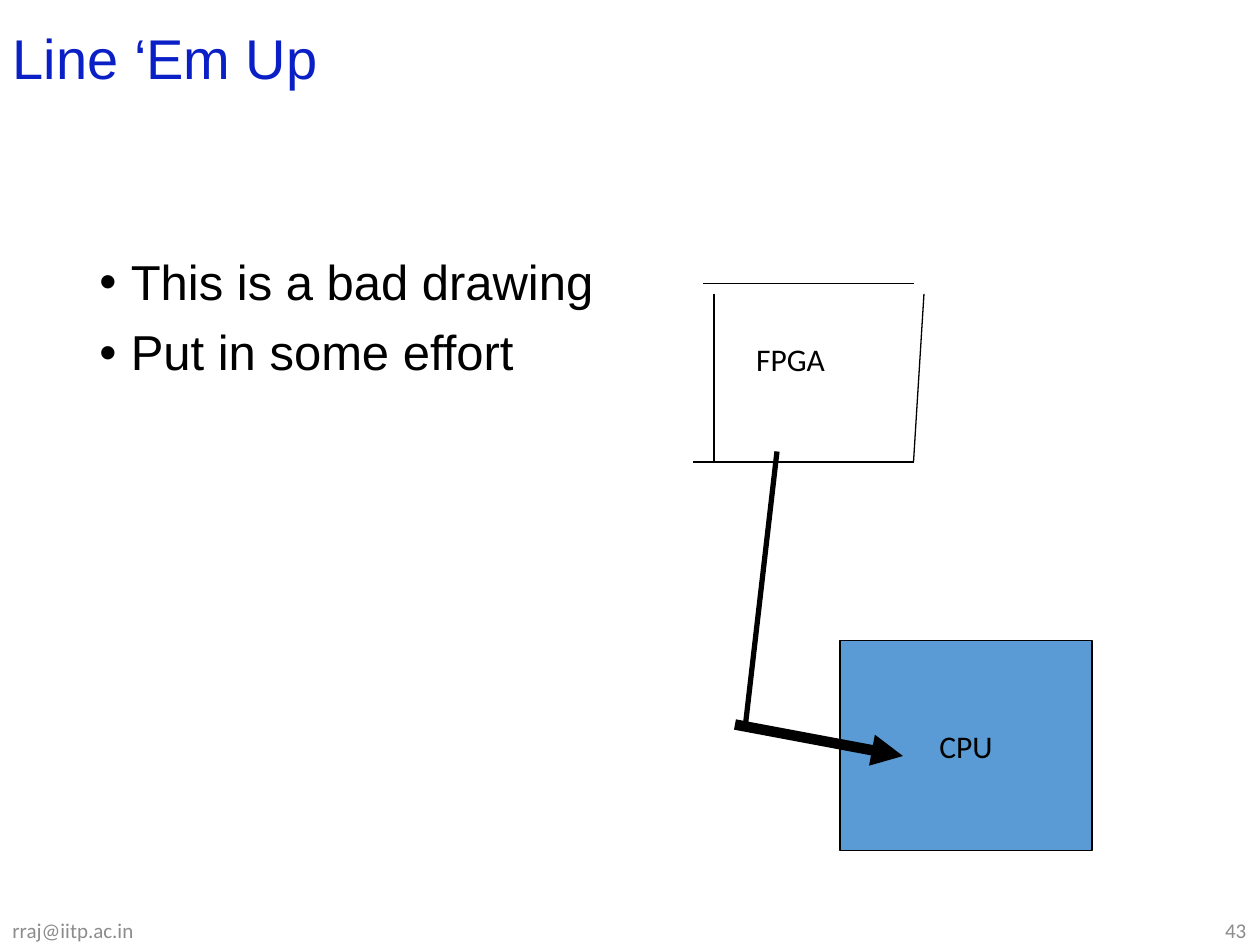
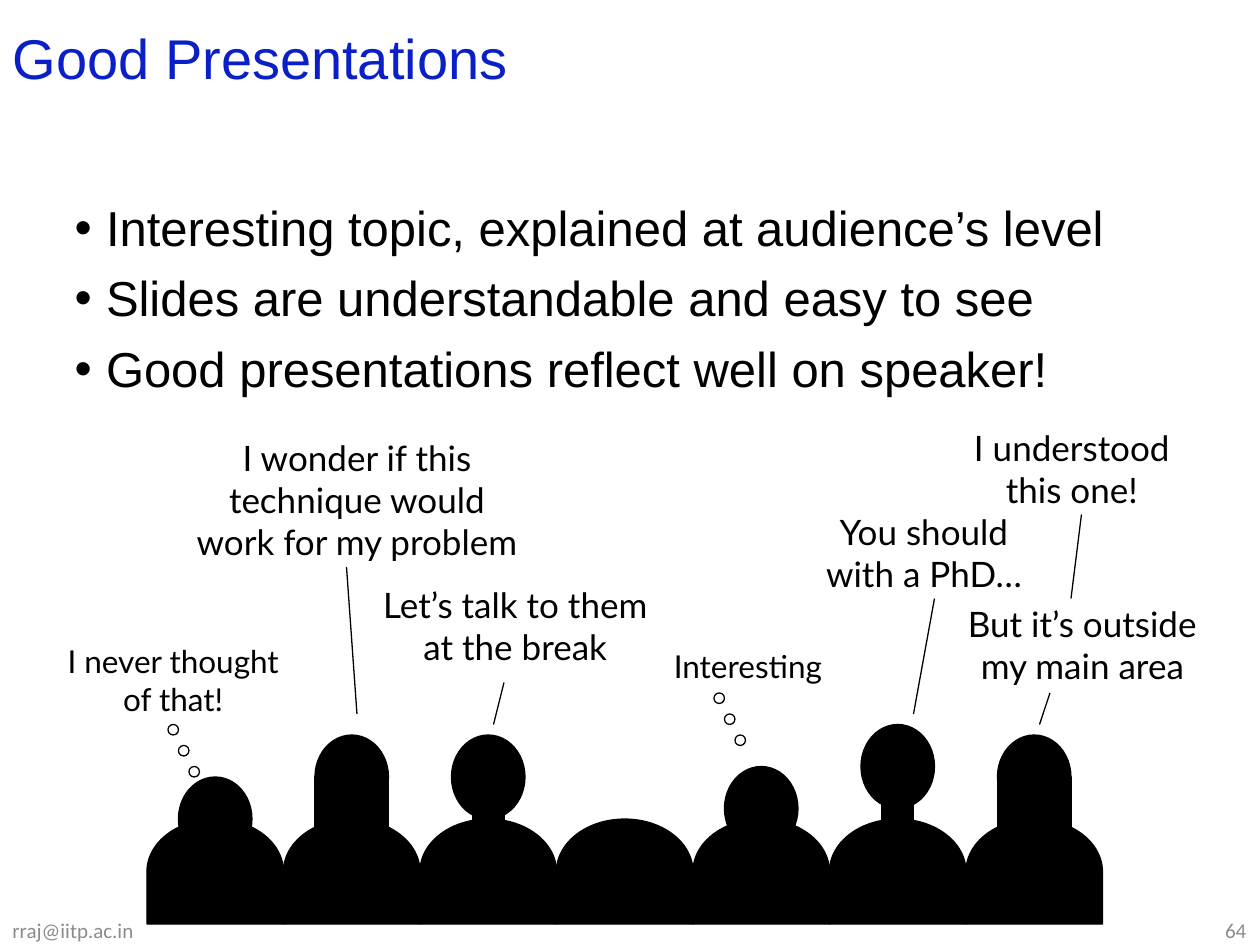
"""Build two slides on talks: a badly drawn diagram and a happy audience."""
from dataclasses import dataclass

from lxml import etree
from pptx import Presentation, slide as sl
from pptx.dml import color
from pptx.enum import shapes, text
from pptx.oxml import ns
from pptx.shapes import autoshape as auto
from pptx.util import Pt

BLACK, BLUE, GREY, FILL = "000000", "0A20C6", "8C8C8C", "5B9BD5"
SHAPE, ALIGN, ANCHOR = shapes.MSO_SHAPE, text.PP_ALIGN, text.MSO_ANCHOR
STEP, MID = 78, 123


@dataclass
class Box:
    """Place and size in points."""
    x: float
    y: float
    w: float
    h: float


@dataclass
class Style:
    """Look of a piece of text."""
    font: str
    size: float
    ink: str = BLACK
    align: ALIGN = ALIGN.LEFT
    anchor: ANCHOR = ANCHOR.TOP


@dataclass
class Stroke:
    """Straight line, with an arrowhead at its end if wanted."""
    x1: float
    y1: float
    x2: float
    y2: float
    width: float = 0.75
    arrow: bool = False


@dataclass
class Person:
    """Listener at a seat, with the width of neck or hair, if any."""
    seat: int
    top: float
    neck: float = 0


@dataclass
class Speech:
    """Words of a listener."""
    words: str
    box: Box
    size: float = 20
    align: ALIGN = ALIGN.CENTER


TITLE = Style("Arial", 32, BLUE, anchor=ANCHOR.MIDDLE)
POINT = Style("Arial", 28)
LABEL = Style("Calibri", 18)
CPU = Style("Calibri", 18, align=ALIGN.CENTER, anchor=ANCHOR.MIDDLE)
MAIL = Style("Calibri", 12, GREY, anchor=ANCHOR.MIDDLE)
PAGE = Style("Calibri", 12, GREY, ALIGN.RIGHT, ANCHOR.MIDDLE)

DIAGRAM = [
    Stroke(408, 168, 408, 264),
    Stroke(402, 162, 522, 162),
    Stroke(528, 168, 522, 264),
    Stroke(522, 264, 396, 264),
]
LINKS = [Stroke(444, 258, 426, 414, 3), Stroke(420, 414, 516, 432, 6, True)]

CROWD = [
    Person(0, 444), Person(1, 420, 42), Person(2, 420, 18),
    Person(4, 438), Person(5, 414, 18), Person(6, 420, 42),
]
TALK = [
    Speech("I never thought of that!", Box(24, 363.6, 150, 50.4), 18),
    Speech("I wonder if this technique would work for my problem",
           Box(102, 246, 204, 79.2)),
    Speech("Let’s talk to them at the break", Box(210, 330, 169, 55.4)),
    Speech("Interesting", Box(378, 366, 102, 28.8), 18, ALIGN.LEFT),
    Speech("You should\vwith a PhD…", Box(456, 288, 144, 55.4)),
    Speech("I understood this one!", Box(534, 240, 157, 55.4)),
    Speech("But it’s outside\vmy main area", Box(540, 340.6, 157, 55.4)),
]
TAILS = [
    Stroke(204, 408, 198, 324), Stroke(282, 414, 288, 390),
    Stroke(522, 408, 534, 342), Stroke(594, 414, 600, 396),
    Stroke(612, 342, 618, 294),
]
THOUGHTS = [(96, 414), (408, 396)]


def hue(code: str) -> color.RGBColor:
    """Turn a hex string into a colour."""
    return color.RGBColor.from_string(code)


def place(item: auto.Shape, box: Box) -> None:
    """Move and size a shape."""
    item.left, item.top = Pt(box.x), Pt(box.y)
    item.width, item.height = Pt(box.w), Pt(box.h)


def bullet(para: text.PP_ALIGN) -> None:
    """Give a paragraph a hanging round bullet."""
    props = para._p.get_or_add_pPr()
    props.set("marL", str(Pt(18)))
    props.set("indent", str(-Pt(18)))
    etree.SubElement(props, ns.qn("a:buFont"), typeface="Arial")
    etree.SubElement(props, ns.qn("a:buChar"), char="•")


def write(item: auto.Shape, words: str, style: Style, wrap: bool = True,
          dots: bool = False, lead: float = 1) -> None:
    """Fill a shape with styled paragraphs, one to a line of words."""
    frame = item.text_frame
    frame.text = words
    frame.word_wrap = wrap
    frame.auto_size = text.MSO_AUTO_SIZE.NONE
    frame.vertical_anchor = style.anchor
    for i, para in enumerate(frame.paragraphs):
        para.alignment = style.align
        para.line_spacing = lead
        para.space_before = Pt(10 if i else 0)
        if dots:
            bullet(para)
        para.font.name, para.font.size = style.font, Pt(style.size)
        para.font.bold = False
        para.font.color.rgb = hue(style.ink)


def note(page: sl.Slide, words: str, box: Box, style: Style, **kind) -> None:
    """Add a text box."""
    item = page.shapes.add_textbox(0, 0, 0, 0)
    place(item, box)
    write(item, words, style, **kind)


def solid(page: sl.Slide, kind: SHAPE, box: Box, fill: str = "") -> auto.Shape:
    """Add a thinly outlined shape, hollow without a fill."""
    item = page.shapes.add_shape(kind, 0, 0, 0, 0)
    place(item, box)
    item.shadow.inherit = False
    if fill:
        item.fill.solid()
        item.fill.fore_color.rgb = hue(fill)
    else:
        item.fill.background()
    item.line.color.rgb, item.line.width = hue(BLACK), Pt(0.75)
    return item


def draw(page: sl.Slide, lines: list[Stroke]) -> None:
    """Add straight black lines."""
    for s in lines:
        item = page.shapes.add_connector(
            shapes.MSO_CONNECTOR.STRAIGHT,
            Pt(s.x1), Pt(s.y1), Pt(s.x2), Pt(s.y2))
        item.line.color.rgb, item.line.width = hue(BLACK), Pt(s.width)
        props = item.element.spPr
        if s.arrow:
            etree.SubElement(props.find(ns.qn("a:ln")), ns.qn("a:tailEnd"),
                             type="triangle")
        etree.SubElement(props, ns.qn("a:effectLst"))


def start(deck: Presentation, title: str, page_no: int, points: str,
          box: Box) -> sl.Slide:
    """Add a slide with footer, title and bullet points."""
    page = deck.slides.add_slide(deck.slide_layouts[5])
    note(page, "rraj@iitp.ac.in", Box(0, 523.5, 243, 16), MAIL)
    note(page, str(page_no), Box(557.3, 524, 162, 15), PAGE)
    place(page.shapes.title, Box(0, 0, 620.6, 70))
    write(page.shapes.title, title, TITLE, lead=0.9)
    note(page, points, box, POINT, dots=True, lead=0.9)
    return page


def lineup(deck: Presentation) -> None:
    """Build the slide with the crooked diagram."""
    page = start(deck, "Line ‘Em Up", 43,
                 "This is a bad drawing\nPut in some effort",
                 Box(49.7, 144, 620.6, 342.7))
    draw(page, DIAGRAM)
    note(page, "FPGA", Box(425, 191, 75.6, 36), LABEL, wrap=False)
    chip = solid(page, SHAPE.RECTANGLE, Box(480, 366, 144, 120), FILL)
    write(chip, "CPU", CPU, wrap=False)
    draw(page, LINKS)


def crowd(page: sl.Slide) -> None:
    """Draw seven pairs of shoulders and the heads above them."""
    for seat in range(7):
        x = MID + seat * STEP
        torso = solid(page, SHAPE.FLOWCHART_DELAY,
                      Box(x - 30, 459, 60, STEP), BLACK)
        torso.rotation = 270
    for one in CROWD:
        x = MID + one.seat * STEP
        solid(page, SHAPE.OVAL, Box(x - 21, one.top, 42, 48), BLACK)
        if one.neck:
            solid(page, SHAPE.RECTANGLE,
                  Box(x - one.neck / 2, one.top + 24, one.neck, 54), BLACK)


def audience(deck: Presentation) -> None:
    """Build the slide with the pleased listeners."""
    page = start(deck, "Good Presentations", 64,
                 "Interesting topic, explained at audience’s level\n"
                 "Slides are understandable and easy to see\n"
                 "Good presentations reflect well on speaker!",
                 Box(35.5, 113, 620.6, 342.7))
    crowd(page)
    for say in TALK:
        note(page, say.words, say.box,
             Style("Lato", say.size, align=say.align))
    draw(page, TAILS)
    for x, y in THOUGHTS:
        for i in range(3):
            solid(page, SHAPE.OVAL, Box(x + 6 * i, y + 12 * i, 6, 6))


def main() -> None:
    """Build and save the deck."""
    deck = Presentation()
    deck.slide_width, deck.slide_height = Pt(720), Pt(540)
    lineup(deck)
    audience(deck)
    deck.save("out.pptx")


if __name__ == "__main__":
    main()
